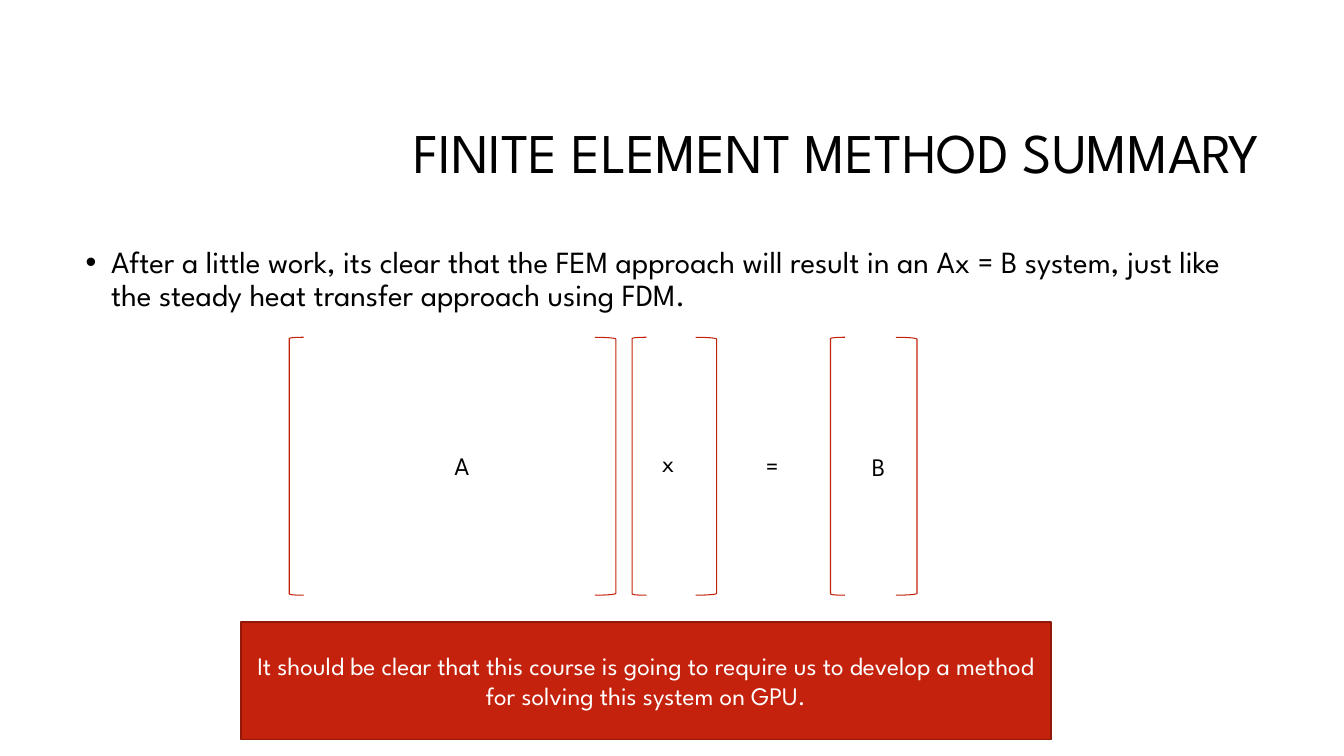
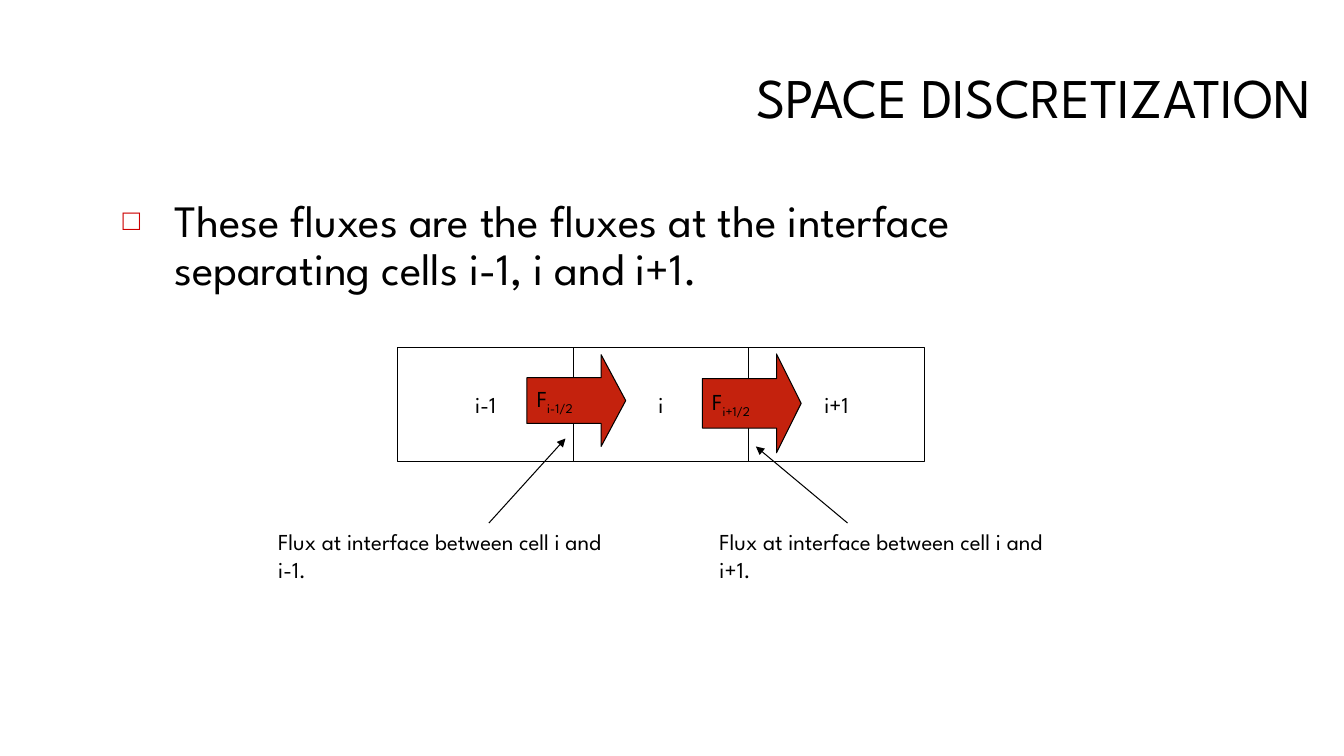
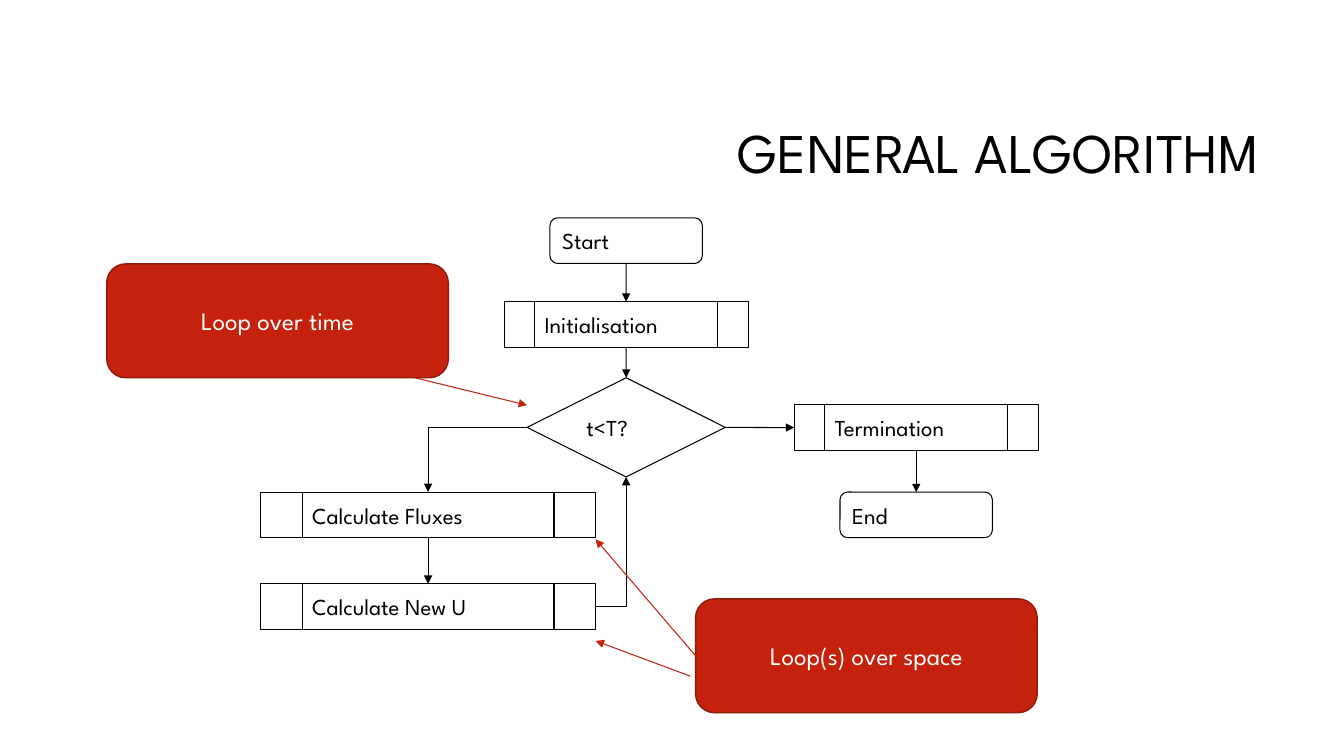
from lxml.etree import SubElement
from pptx import Presentation
from pptx.dml.color import RGBColor
from pptx.enum.shapes import MSO_CONNECTOR as LINE, MSO_SHAPE as SHAPE
from pptx.enum.text import MSO_ANCHOR as ANCHOR, MSO_AUTO_SIZE as AUTO, PP_ALIGN as ALIGN
from pptx.oxml.ns import qn
from pptx.util import Cm, Pt

FONT = "League Spartan"
BLACK = RGBColor(0x00, 0x00, 0x00)
WHITE = RGBColor(0xFF, 0xFF, 0xFF)
RED = RGBColor(0xC4, 0x22, 0x0D)
DARK_RED = RGBColor(0x91, 0x19, 0x0A)
BULLET_RED = "CC0000"
TITLE_ONLY = 5
THIN = 0.75
SMALL = 16.3
TOP, LEFT, BOTTOM, RIGHT = range(4)


def write(sp, text, size=18, color=BLACK, align=ALIGN.LEFT, anchor=ANCHOR.TOP,
          spacing=None, sub=None):
    """Fill a shape with one paragraph; sub is set as a subscript after it."""
    tf = sp.text_frame
    tf.word_wrap = True
    tf.auto_size = AUTO.NONE
    tf.vertical_anchor = anchor
    p = tf.paragraphs[0]
    p.alignment = align
    if spacing:
        p.line_spacing = spacing
    for part in filter(None, (text, sub)):
        r = p.add_run()
        r.text = part
        r.font.name = FONT
        r.font.size = Pt(size)
        r.font.color.rgb = color
        if part == sub:
            r._r.get_or_add_rPr().set("baseline", "-25000")
    return p


def add_text(slide, text, x, y, w, h, **fmt):
    sp = slide.shapes.add_textbox(Cm(x), Cm(y), Cm(w), Cm(h))
    return write(sp, text, **fmt)


def add_box(slide, kind, x, y, w, h, fill=WHITE, line=BLACK, weight=THIN):
    sp = slide.shapes.add_shape(kind, Cm(x), Cm(y), Cm(w), Cm(h))
    sp.shadow.inherit = False
    if fill is None:
        sp.fill.background()
    else:
        sp.fill.solid()
        sp.fill.fore_color.rgb = fill
    sp.line.color.rgb = line
    sp.line.width = Pt(weight)
    return sp


def add_callout(slide, text, x, y, w, h, kind=SHAPE.ROUNDED_RECTANGLE):
    sp = add_box(slide, kind, x, y, w, h, fill=RED, line=DARK_RED, weight=1)
    write(sp, text, color=WHITE, align=ALIGN.CENTER, anchor=ANCHOR.MIDDLE)
    return sp


def add_arrow(slide, x1=0, y1=0, x2=0, y2=0, color=BLACK, begin=None, end=None, bent=False):
    """Draw an arrow; begin and end are (shape, side) pairs that replace a point."""
    c = slide.shapes.add_connector(LINE.ELBOW if bent else LINE.STRAIGHT,
                                   Cm(x1), Cm(y1), Cm(x2), Cm(y2))
    if begin:
        c.begin_connect(*begin)
    if end:
        c.end_connect(*end)
    c.line.color.rgb = color
    c.line.width = Pt(THIN)
    sp_pr = c._element.spPr
    if bent:
        sp_pr.find(qn("a:prstGeom")).set("prst", "bentConnector2")
    SubElement(sp_pr.find(qn("a:ln")), qn("a:tailEnd"), type="triangle")
    SubElement(sp_pr, qn("a:effectLst"))
    return c


def add_bullet(p, char, indent, color=None, percent=None):
    p_pr = p._p.get_or_add_pPr()
    p_pr.set("marL", str(Cm(indent)))
    p_pr.set("indent", str(-Cm(indent)))
    if color:
        SubElement(SubElement(p_pr, qn("a:buClr")), qn("a:srgbClr"), val=color)
    if percent:
        SubElement(p_pr, qn("a:buSzPct"), val=str(percent * 1000))
    SubElement(p_pr, qn("a:buFont"), typeface="Arial")
    SubElement(p_pr, qn("a:buChar"), char=char)


def add_titled_slide(prs, title, x, y, w, h):
    slide = prs.slides.add_slide(prs.slide_layouts[TITLE_ONLY])
    sp = slide.shapes.title
    sp.left, sp.top, sp.width, sp.height = Cm(x), Cm(y), Cm(w), Cm(h)
    write(sp, title, size=40, align=ALIGN.RIGHT, anchor=ANCHOR.MIDDLE, spacing=0.9)
    return slide


def draw_equation(slide, x, y, h):
    """Draw A x = B, with brackets of height h around each matrix."""
    # offset, width, label, label offset, label drop
    matrices = [(0, 8.23, "A", 3.91, 2.73),
                (8.64, 2.13, "x", 0.5, 2.65),
                (13.64, 2.18, "B", 0.79, 2.75)]
    left_w, right_w = 0.36, 0.53
    for dx, w, label, label_dx, label_dy in matrices:
        left = x + dx
        add_box(slide, SHAPE.LEFT_BRACKET, left, y, left_w, h, fill=None, line=RED)
        add_box(slide, SHAPE.RIGHT_BRACKET, left + w - right_w, y, right_w, h,
                fill=None, line=RED)
        add_text(slide, label, left + label_dx, y + label_dy, 1.6, 1.02)
    add_text(slide, "=", x + 11.76, y + 2.73, 1.6, 1.02)


def draw_cells(slide, x, y, w, h):
    """Draw three cells in a row, with a flux arrow over each interface."""
    cell_w = w / 3
    for i, label in enumerate(["i-1", "i", "i+1"]):
        sp = add_box(slide, SHAPE.RECTANGLE, x + i * cell_w, y, cell_w, h)
        write(sp, label, size=SMALL, align=ALIGN.CENTER, anchor=ANCHOR.MIDDLE)

    # neighbour, arrow drop, arrow height, note offset, pointer from and to
    fluxes = [("i-1", 0.18, 2.31, -3.27, (2.29, 4.42), (4.22, 2.29)),
              ("i+1", 0.16, 2.49, 7.85, (11.33, 4.42), (9.02, 2.49))]
    head = 0.62
    for i, (cell, dy, arrow_h, note_dx, start, tip) in enumerate(fluxes, 1):
        sp = add_box(slide, SHAPE.RIGHT_ARROW, x + i * cell_w - 1.17, y + dy,
                     2.49, arrow_h, fill=RED)
        sp.adjustments[1] = head / arrow_h
        write(sp, "F", size=SMALL, anchor=ANCHOR.MIDDLE, sub=f"{cell}/2")
        add_text(slide, f"Flux at interface between cell i and {cell}.",
                 x + note_dx, y + 4.42, 9.22, 1.65, size=SMALL)
        add_arrow(slide, x + start[0], y + start[1], x + tip[0], y + tip[1])


def draw_flowchart(slide, x, y):
    spine, loop, leave = 13.09, 8.1, 20.4
    ends, process = SHAPE.FLOWCHART_ALTERNATE_PROCESS, SHAPE.FLOWCHART_PREDEFINED_PROCESS

    def step(kind, text, centre, top, w, h=1.15):
        sp = add_box(slide, kind, x + centre - w / 2, y + top, w, h)
        write(sp, text, size=SMALL, anchor=ANCHOR.MIDDLE)
        return sp

    start = step(ends, "Start", spine, 0, 3.84)
    init = step(process, "Initialisation", spine, 2.11, 6.15)
    test = step(SHAPE.FLOWCHART_DECISION, "t<T?", spine, 4.03, 5, 2.5)
    fluxes = step(process, "Calculate Fluxes", loop, 6.91, 8.46)
    update = step(process, "Calculate New U", loop, 9.22, 8.46)
    finish = step(process, "Termination", leave, 4.71, 6.15)
    end = step(ends, "End", leave, 6.91, 3.84)

    for a, b in [(start, init), (init, test), (fluxes, update), (finish, end)]:
        add_arrow(slide, begin=(a, BOTTOM), end=(b, TOP))
    add_arrow(slide, begin=(test, RIGHT), end=(finish, LEFT))
    add_arrow(slide, begin=(test, LEFT), end=(fluxes, TOP), bent=True)
    add_arrow(slide, begin=(update, RIGHT), end=(test, BOTTOM), bent=True)

    add_callout(slide, "Loop over time", x, y + 1.16, 8.61, 2.87)
    space = add_callout(slide, "Loop(s) over space", x + 14.84, y + 9.6, 8.61, 2.87)
    add_arrow(slide, x + 7.77, y + 4.03, x + 10.59, y + 4.72, color=RED)
    add_arrow(slide, x2=x + 12.32, y2=y + 8.1, color=RED, begin=(space, LEFT))
    add_arrow(slide, x + 14.71, y + 11.55, x + 12.32, y + 10.66, color=RED)


def add_summary_slide(prs):
    slide = add_titled_slide(prs, "FINITE ELEMENT METHOD SUMMARY", 6.3, 2.13, 25.68, 3.58)
    p = add_text(slide, "After a little work, its clear that the FEM approach will result in "
                 "an Ax = B system, just like the steady heat transfer approach using FDM.",
                 1.91, 6.1, 30.05, 2.2, size=22, spacing=0.9)
    add_bullet(p, "•", 0.64)
    draw_equation(slide, 7.29, 8.5, 6.5)
    add_callout(slide, "It should be clear that this course is going to require us to "
                "develop a method for solving this system on GPU.",
                6.07, 15.67, 20.42, 2.97, kind=SHAPE.RECTANGLE)


def add_space_slide(prs):
    slide = add_titled_slide(prs, "SPACE DISCRETIZATION", 11.07, 0.84, 22.23, 3.38)
    p = add_text(slide, "These fluxes are the fluxes at the interface separating cells "
                 "i-1, i and i+1.", 2.84, 4.88, 25.2, 3, size=32, spacing=0.9)
    add_bullet(p, "□", 1.3, color=BULLET_RED, percent=65)
    draw_cells(slide, 10.03, 8.76, 13.26, 2.87)


def add_algorithm_slide(prs):
    slide = add_titled_slide(prs, "GENERAL ALGORITHM", 8.05, 2.13, 23.93, 3.58)
    draw_flowchart(slide, 2.69, 5.49)


def main():
    prs = Presentation()
    prs.slide_width, prs.slide_height = Cm(33.87), Cm(19.05)
    add_summary_slide(prs)
    add_space_slide(prs)
    add_algorithm_slide(prs)
    prs.save("out.pptx")


if __name__ == "__main__":
    main()
